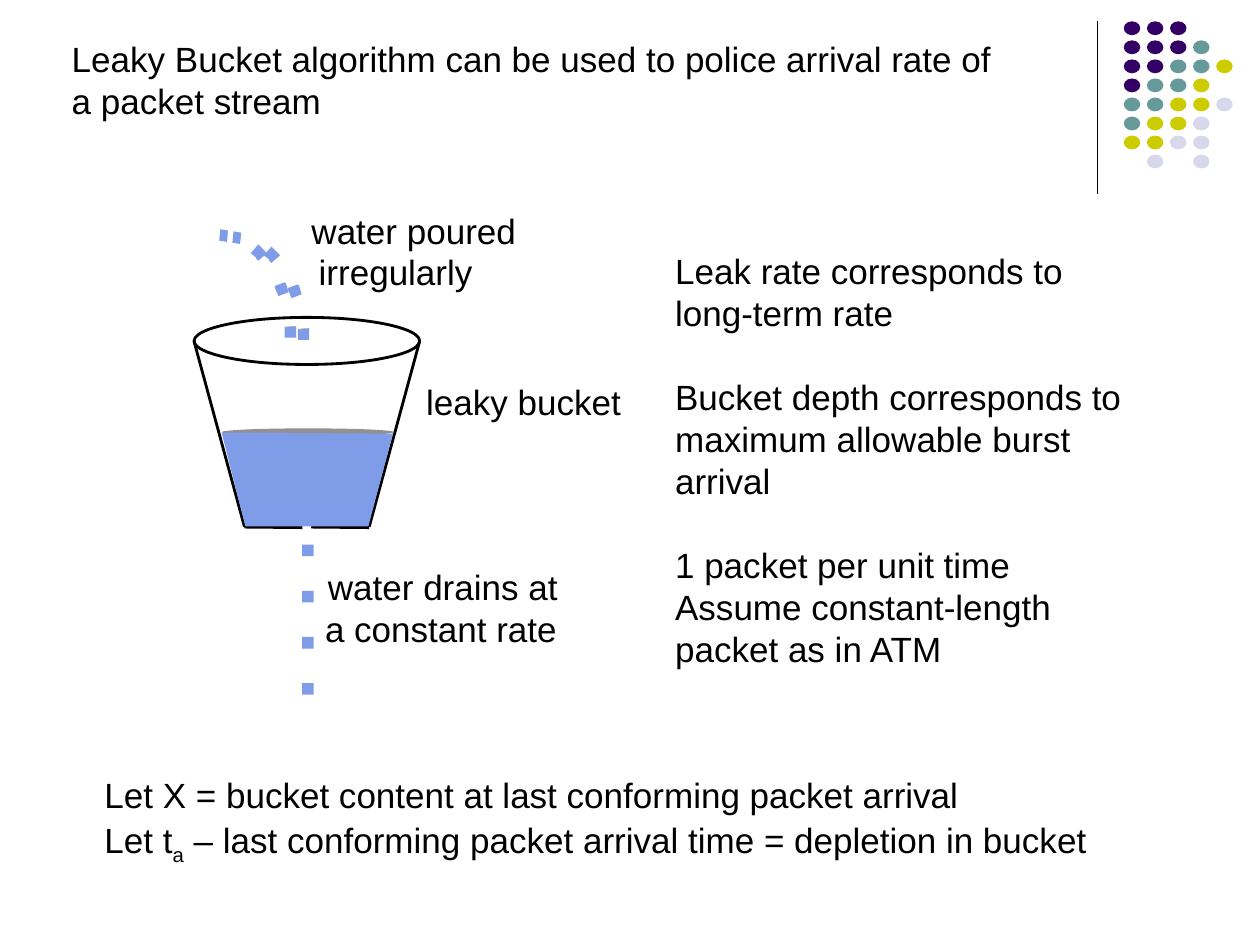
from lxml.etree import SubElement
from pptx import Presentation
from pptx.dml.color import RGBColor
from pptx.enum.shapes import MSO_CONNECTOR as Connector, MSO_SHAPE as Shape
from pptx.enum.text import MSO_ANCHOR as Anchor, MSO_AUTO_SIZE as AutoSize, PP_ALIGN as Align
from pptx.oxml.ns import qn
from pptx.util import Pt

BLACK = RGBColor(0x00, 0x00, 0x00)
WATER = RGBColor(0x7E, 0x9C, 0xE8)
GREY = RGBColor(0x91, 0x91, 0x91)
PURPLE = RGBColor(0x33, 0x00, 0x66)
TEAL = RGBColor(0x66, 0x99, 0x99)
OLIVE = RGBColor(0xCC, 0xCC, 0x00)
LILAC = RGBColor(0xD8, 0xD8, 0xEC)


class SlideStyle:
    """Style and current slide; every length is in points."""
    font = "Arial"
    size = 20
    leading = 24
    outline = 1.62

    def __init__(self, slide):
        self.slide = slide

    def fill_text(self, frame, paragraphs, gaps=(), align=Align.LEFT, inset=(7.2, 3.6), wrap=True):
        """Each paragraph is a list of (text, baseline percent) runs."""
        frame.auto_size = AutoSize.NONE
        frame.word_wrap = wrap
        frame.vertical_anchor = Anchor.TOP
        frame.margin_left = frame.margin_right = Pt(inset[0])
        frame.margin_top = frame.margin_bottom = Pt(inset[1])
        for index, runs in enumerate(paragraphs):
            paragraph = frame.add_paragraph() if index else frame.paragraphs[0]
            paragraph.alignment = align
            paragraph.line_spacing = Pt(self.leading)
            paragraph.space_before = Pt(gaps[index] if gaps else 0)
            paragraph.font.name = self.font
            paragraph.font.size = Pt(self.size)
            paragraph.font.color.rgb = BLACK
            for text, baseline in runs:
                run = paragraph.add_run()
                run.text = text
                if baseline:
                    run._r.get_or_add_rPr().set("baseline", str(baseline * 1000))

    def title(self, left, top, width, height, text):
        title = self.slide.shapes.title
        title.left, title.top, title.width, title.height = map(Pt, (left, top, width, height))
        self.fill_text(title.text_frame, [[(text, 0)]])

    def text(self, left, top, width, height, paragraphs, **options):
        box = self.slide.shapes.add_textbox(*map(Pt, (left, top, width, height)))
        self.fill_text(box.text_frame, paragraphs, **options)

    def label(self, left, top, width, text):
        self.text(left, top, width, self.leading, [[(text, 0)]],
                  align=Align.CENTER, inset=(0, 0), wrap=False)

    def paint(self, shape, fill):
        shape.shadow.inherit = False
        if fill is None:
            shape.fill.background()
            shape.line.color.rgb = BLACK
            shape.line.width = Pt(self.outline)
        else:
            shape.fill.solid()
            shape.fill.fore_color.rgb = fill
            shape.line.fill.background()

    def shape(self, kind, left, top, width, height, fill=None):
        self.paint(self.slide.shapes.add_shape(kind, *map(Pt, (left, top, width, height))), fill)

    def polygon(self, points, fill):
        corners = [(Pt(x), Pt(y)) for x, y in points]
        builder = self.slide.shapes.build_freeform(*corners[0], scale=1.0)
        builder.add_line_segments(corners[1:], close=True)
        self.paint(builder.convert_to_shape(), fill)

    def line(self, start, end, width=None):
        line = self.slide.shapes.add_connector(Connector.STRAIGHT, *map(Pt, start + end))
        line.line.color.rgb = BLACK
        line.line.width = Pt(width or self.outline)
        SubElement(line._element.spPr, qn("a:effectLst"))


# Corner decoration: one letter per dot colour
DOT_COLORS = {"P": PURPLE, "T": TEAL, "O": OLIVE, "L": LILAC}
DOT_ROWS = ["PPP", "PPPT", "PPTTO", "PTTO", "TTOOL", "TOOL", "OOLL", " L L"]

# Faces of the first drop of each poured pair, and the step to the second
POURED_FACES = [
    (WATER, [(162.7, 193), (169.2, 193), (169.2, 186.5), (162.7, 187.2)]),
    (GREY, [(162.7, 187.2), (169.2, 186.5), (162.7, 186.9)]),
    (GREY, [(162.7, 186.9), (169.2, 186.5), (169.2, 186.3), (162.7, 186.8)]),
    (WATER, [(159.1, 169.2), (164.9, 167), (163.4, 162), (157, 164.2)]),
    (WATER, [(157, 164.2), (163.4, 162), (157.7, 164.9)]),
    (WATER, [(157.7, 164.9), (163.4, 162), (162.7, 161.3), (157, 163.4)]),
    (WATER, [(147.6, 149), (152.6, 144.7), (151.2, 143.3), (146.2, 147.6)]),
    (WATER, [(146.2, 147.6), (151.2, 143.3), (146.9, 147.6)]),
    (WATER, [(146.9, 147.6), (151.2, 143.3), (147.6, 139.7), (143.3, 144.7)]),
    (WATER, [(128.9, 138.2), (130.3, 131.8), (129.2, 138.2)]),
    (WATER, [(129.2, 138.2), (130.3, 131.8), (129.6, 138.2)]),
    (WATER, [(129.6, 138.2), (130.3, 131.8), (126, 131), (125.3, 137.5)]),
]
PAIR_STEP = (7.5, 1.2)


def main():
    deck = Presentation()
    deck.slide_width, deck.slide_height = Pt(720), Pt(540)
    page = SlideStyle(deck.slides.add_slide(deck.slide_layouts[5]))

    # Corner decoration
    page.line((627.1, 12.2), (627.1, 110.9), 0.75)
    for row, letters in enumerate(DOT_ROWS):
        for column, letter in enumerate(letters):
            if letter in DOT_COLORS:
                page.shape(Shape.OVAL, 642.2 + 13.2 * column, 12.2 + 10.88 * row,
                           9.4, 7.9, DOT_COLORS[letter])

    page.title(33.8, 18, 547.2, 55.4,
               "Leaky Bucket algorithm can be used to police arrival rate of a packet stream")

    # Bucket with a hole in its bottom
    page.shape(Shape.OVAL, 110.9, 181.4, 128.9, 26.9)
    for start, end in [((110.9, 195.1), (139.7, 301)), ((239.8, 195.1), (211, 301)),
                       ((139.7, 301.2), (172.8, 301.5)), ((177.8, 301.2), (211, 301.5))]:
        page.line(start, end)

    # Water in the bucket and draining from it
    page.shape(Shape.OVAL, 126.7, 244.8, 98.6, 4.3, GREY)
    page.polygon([(126.7, 247.2), (140.2, 300.8), (210.5, 300.8), (224.6, 247.8)], WATER)
    for drop in range(4):
        page.shape(Shape.RECTANGLE, 172.6, 311.2 + 26.4 * drop, 6.6, 6.6, WATER)

    # Water poured in, as pairs of drops
    for drop in range(2):
        dx, dy = (step * drop for step in PAIR_STEP)
        for color, corners in POURED_FACES:
            page.polygon([(x + dx, y + dy) for x, y in corners], color)

    # Labels
    page.label(187.2, 323.3, 131.8, "water drains at")
    page.label(185.8, 347, 132.5, "a constant rate")
    page.label(243.4, 217.4, 111.6, "leaky bucket")
    page.label(177.8, 119.5, 117.4, "water poured")
    page.label(182.2, 143.3, 87.8, "irregularly")

    # Explanation
    explanation = ["Leak rate corresponds to long-term rate",
                   "Bucket depth corresponds to maximum allowable burst arrival",
                   "1 packet per unit time",
                   "Assume constant-length packet as in ATM"]
    page.text(378.7, 139, 273.6, 247.7, [[(text, 0)] for text in explanation],
              gaps=(0, 24, 24, 0))

    # Definitions
    page.text(52.6, 438.5, 576, 63.4,
              [[("Let X = bucket content at last conforming packet arrival", 0)],
               [("Let t", 0), ("a", -25),
                (" – last conforming packet arrival time = depletion in bucket", 0)]],
              gaps=(0, 5), wrap=False)

    deck.save("out.pptx")


if __name__ == "__main__":
    main()
